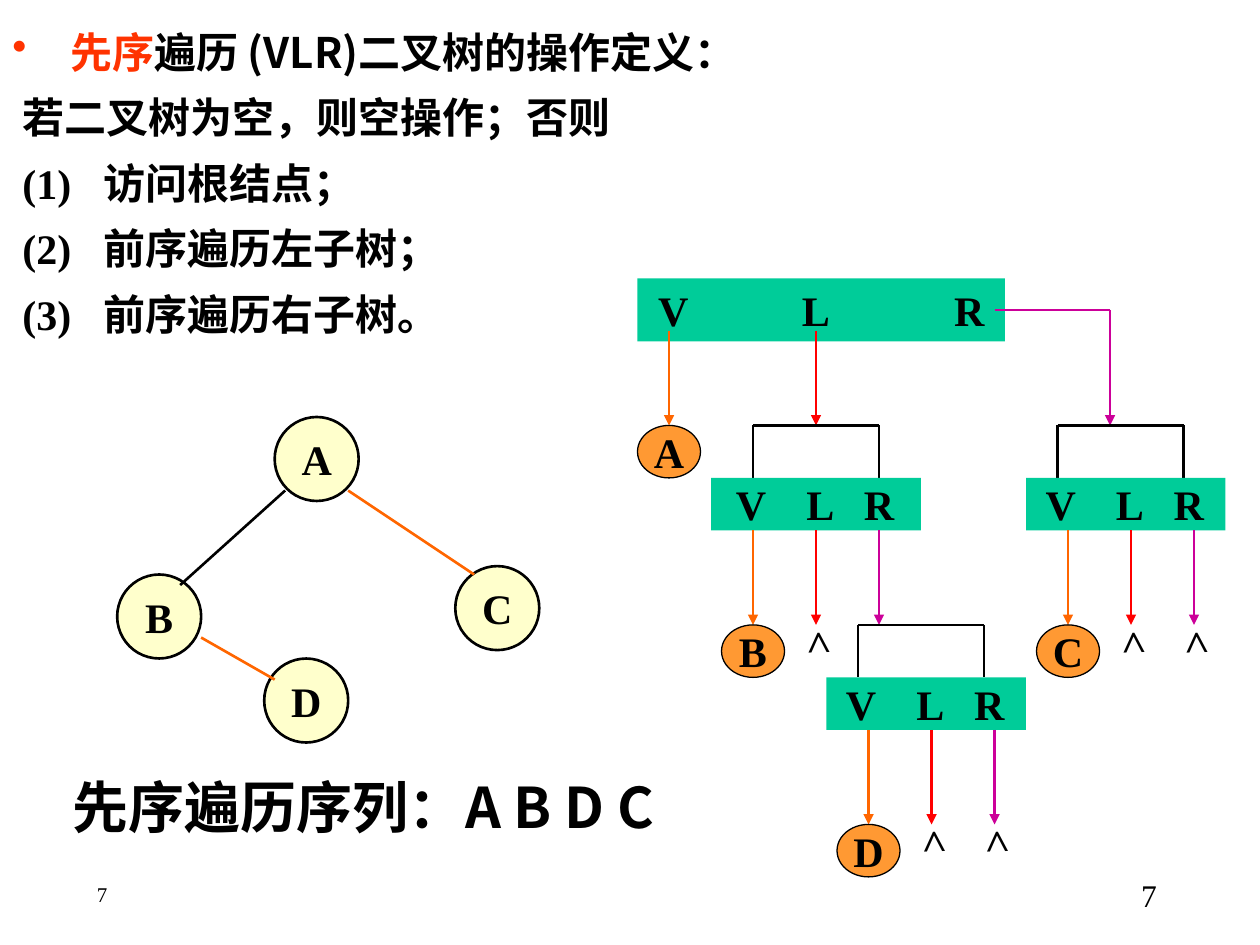
import pptx
import pptx.util
import pptx.dml.color
import pptx.enum.shapes
import pptx.enum.text
import pptx.oxml.ns
from lxml import etree

RGBColor = pptx.dml.color.RGBColor
BLACK = RGBColor(0x00, 0x00, 0x00)
RED = RGBColor(0xFF, 0x00, 0x00)
HEADING_RED = RGBColor(0xFF, 0x33, 0x00)
ORANGE = RGBColor(0xFF, 0x66, 0x00)
PURPLE = RGBColor(0xCC, 0x00, 0x99)
GREEN = RGBColor(0x00, 0xCC, 0x99)
CREAM = RGBColor(0xFF, 0xFF, 0xCC)
AMBER = RGBColor(0xFF, 0x99, 0x33)

SERIF = "Times New Roman"
SANS = "Noto Sans CJK SC"
SHAPES = pptx.enum.shapes.MSO_SHAPE
ALIGN = pptx.enum.text.PP_ALIGN
MIDDLE = pptx.enum.text.MSO_ANCHOR.MIDDLE

# Diagrams sit on a grid of twelfths of an inch, each with its own origin
CELL = 1 / 12
TREE = (0.93, 3.31)
TRACE = (5.06, 2.21)


def inches(value):
    return pptx.util.Inches(value)


def place(origin, column, row):
    return inches(origin[0] + column * CELL), inches(origin[1] + row * CELL)


def add_xml(parent, tag, **attributes):
    return etree.SubElement(parent, pptx.oxml.ns.qn(tag), **attributes)


def set_font(font, size, name=SERIF, bold=True, color=BLACK):
    font.size = pptx.util.Pt(size)
    font.bold = bold
    font.color.rgb = color
    font.name = name
    add_xml(font._rPr, "a:ea", typeface=SANS)


def add_text(page, left, top, width, height, text, size, name=SERIF,
             bold=True, align=ALIGN.LEFT, wrap=True):
    box = page.shapes.add_textbox(left, top, width, height)
    box.text_frame.word_wrap = wrap
    para = box.text_frame.paragraphs[0]
    para.text = text
    para.alignment = align
    set_font(para.font, size, name, bold)
    return box


def add_block(page, origin, kind, column, row, columns, rows, fill, line=None):
    block = page.shapes.add_shape(kind, *place(origin, column, row),
                                  inches(columns * CELL), inches(rows * CELL))
    block.shadow.inherit = False
    block.fill.solid()
    block.fill.fore_color.rgb = fill
    if line:
        block.line.color.rgb = BLACK
        block.line.width = pptx.util.Pt(line)
    else:
        block.line.fill.background()
    block.text_frame.vertical_anchor = MIDDLE
    return block


def add_node(page, origin, column, row, columns, rows, letter, fill, line):
    node = add_block(page, origin, SHAPES.OVAL, column, row, columns, rows,
                     fill, line)
    node.text_frame.word_wrap = False
    para = node.text_frame.paragraphs[0]
    para.text = letter
    para.alignment = ALIGN.CENTER
    set_font(para.font, 24)


def add_bar(page, column, row, columns, rows, offsets):
    """Green bar; the letters stand at offsets from its centre."""
    bar = add_block(page, TRACE, SHAPES.RECTANGLE, column, row, columns, rows, GREEN)
    frame = bar.text_frame
    frame.margin_left = frame.margin_right = 0
    para = frame.paragraphs[0]
    para.text = "\tV\tL\tR"
    para.alignment = ALIGN.LEFT
    tabs = add_xml(para._p.get_or_add_pPr(), "a:tabLst")
    for offset in offsets:
        position = inches((columns / 2 + offset) * CELL)
        add_xml(tabs, "a:tab", pos=str(position), algn="ctr")
    set_font(para.font, 24)


def add_line(page, origin, start, end, color=BLACK, arrow=False):
    line = page.shapes.add_connector(pptx.enum.shapes.MSO_CONNECTOR.STRAIGHT,
                                     *place(origin, *start), *place(origin, *end))
    line.line.color.rgb = color
    line.line.width = pptx.util.Pt(1.5)
    if arrow:
        add_xml(line.line._get_or_add_ln(), "a:tailEnd", type="triangle")
    add_xml(line._element.spPr, "a:effectLst")


def add_null(page, column, row):
    mark = add_text(page, *place(TRACE, column - 2.5, row - 1.5),
                    inches(5 * CELL), inches(6 * CELL), ">", 24)
    mark.rotation = 268.3


def add_visit(page, bracket, row, bar, columns, first_arrow, letter, nulls):
    """Bracket, V L R bar, its three arrows, the visited node and empty children."""
    add_line(page, TRACE, (bracket, row), (bracket + 12, row))
    for side in (bracket, bracket + 12):
        add_line(page, TRACE, (side, row), (side, row + 5))
    add_bar(page, bar, row + 5, columns, 5, (-6.2, 0.4, 6))
    for index, color in enumerate((ORANGE, RED, PURPLE)):
        column = first_arrow + 6 * index
        add_line(page, TRACE, (column, row + 10), (column, row + 19), color, True)
        if 0 < index <= nulls:
            add_null(page, column, row + 19)
    add_node(page, TRACE, first_arrow - 3, row + 19, 6, 5, letter, AMBER, 0.75)


def add_definition(page):
    box = page.shapes.add_textbox(0, 0, inches(6.73), inches(2.7))
    frame = box.text_frame
    frame.word_wrap = True
    frame.margin_top = inches(0.09)
    # Each line: left margin, first-line indent, runs of text, font and colour
    lines = [
        (0.46, -0.46, [("先序", SERIF, HEADING_RED), ("遍历 ", SERIF, BLACK),
                       ("(VLR)", SANS, BLACK), ("二叉树的操作定义：", SERIF, BLACK)]),
        (0.08, 0, [("若二叉树为空，则空操作；否则", SERIF, BLACK)]),
    ]
    steps = ("访问根结点；", "前序遍历左子树；", "前序遍历右子树。")
    for number, step in enumerate(steps, 1):
        lines.append((0.72, -0.64, [(f"({number})\t{step}", SERIF, BLACK)]))
    for index, (margin, indent, runs) in enumerate(lines):
        para = frame.add_paragraph() if index else frame.paragraphs[0]
        para.line_spacing = pptx.util.Pt(37.4)
        properties = para._p.get_or_add_pPr()
        properties.set("marL", str(inches(margin)))
        properties.set("indent", str(inches(indent)))
        if index == 0:
            color = add_xml(properties, "a:buClr")
            add_xml(color, "a:srgbClr", val=str(HEADING_RED))
            add_xml(properties, "a:buChar", char="•")
        for text, name, color in runs:
            span = para.add_run()
            span.text = text
            set_font(span.font, 24, name, color=color)


def add_binary_tree(page):
    for letter, column, row in (("A", 15, 0), ("D", 14, 23),
                                ("B", 0, 15), ("C", 32.2, 14.2)):
        add_node(page, TREE, column, row, 8, 8, letter, CREAM, 1.5)
    add_line(page, TREE, (16, 7), (6, 16))
    add_line(page, TREE, (22, 7), (34, 15), ORANGE)
    add_line(page, TREE, (8, 21), (15, 25), ORANGE)


def add_trace(page):
    # Root visit
    add_bar(page, 0, 0, 35, 6, (-14.1, -0.5, 14.1))
    add_line(page, TRACE, (3, 5), (3, 14), ORANGE, True)
    add_node(page, TRACE, 0, 14, 6, 5, "A", AMBER, 0.75)
    add_line(page, TRACE, (17, 5), (17, 14), RED, True)
    add_line(page, TRACE, (34, 3), (45, 3), PURPLE)
    add_line(page, TRACE, (45, 3), (45, 14), PURPLE, True)
    # Visits of B, D and C
    add_visit(page, 11, 14, 7, 20, 11, "B", 1)
    add_visit(page, 21, 33, 18, 19, 22, "D", 2)
    add_visit(page, 40, 14, 37, 19, 41, "C", 2)


def main():
    deck = pptx.Presentation()
    deck.slide_width, deck.slide_height = inches(10), inches(7.5)
    page = deck.slides.add_slide(deck.slide_layouts[6])
    add_definition(page)
    add_binary_tree(page)
    add_trace(page)
    # Resulting order and page numbers
    add_text(page, inches(0.48), inches(6.08), inches(4.99), inches(0.64),
             "先序遍历序列：A B D C", 32, SANS, wrap=False)
    add_text(page, inches(0.67), inches(6.95), inches(2.17), inches(0.4),
             "7", 12, bold=False)
    add_text(page, inches(7.2), inches(6.9), inches(2.08), inches(0.5),
             "7", 18, bold=False, align=ALIGN.RIGHT)
    deck.save("out.pptx")


if __name__ == "__main__":
    main()
